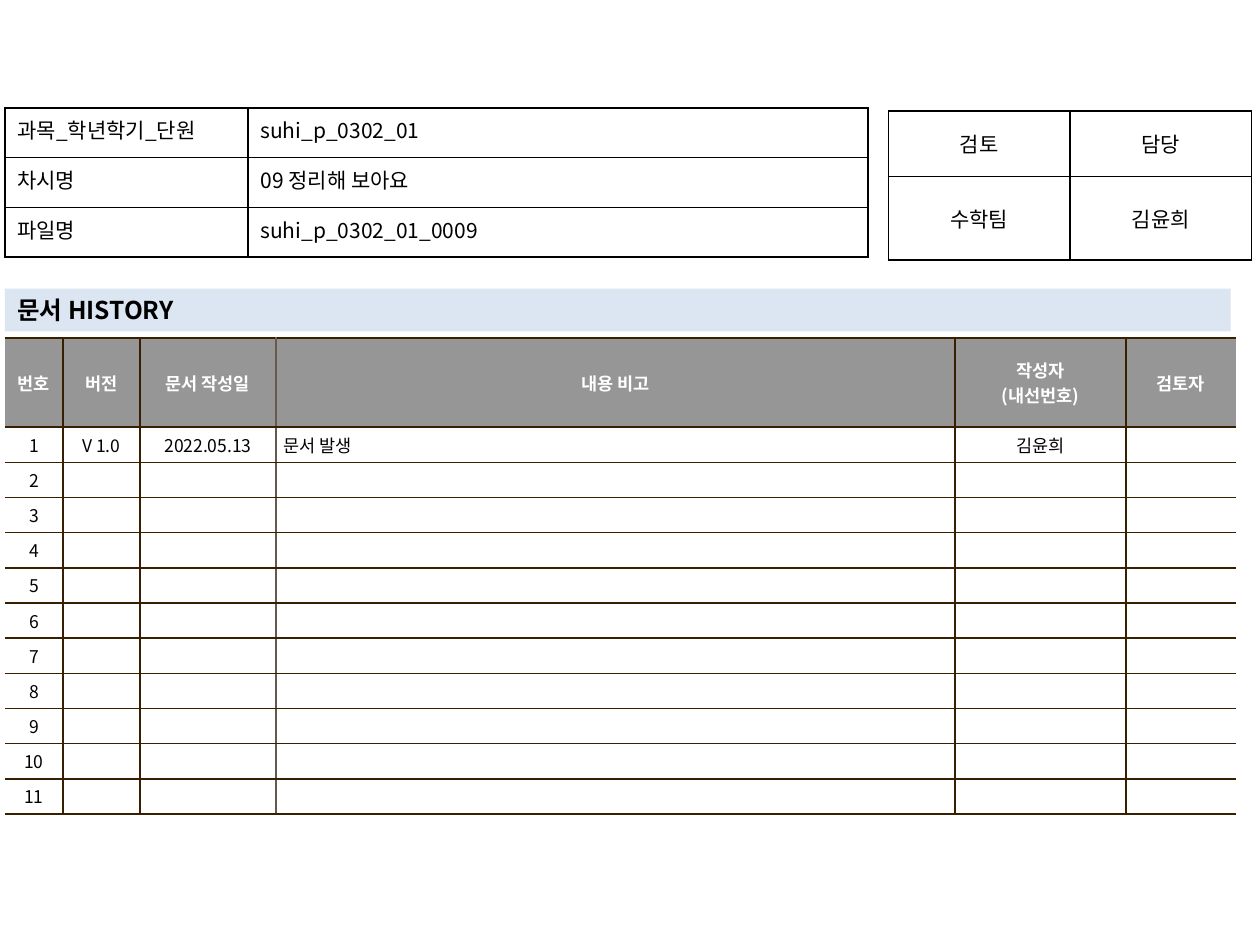
from dataclasses import dataclass
from typing import Optional

import pptx
import pptx.dml.color
import pptx.enum.shapes
import pptx.enum.text
import pptx.oxml
import pptx.oxml.ns
import pptx.util

Cm = pptx.util.Cm
ALIGN = pptx.enum.text.PP_ALIGN
ANCHOR = pptx.enum.text.MSO_ANCHOR


@dataclass(frozen=True)
class Theme:
    font: str = "Noto Sans CJK KR"
    ink: str = "000000"
    paper: str = "FFFFFF"
    header: str = "969696"
    band: str = "DCE6F2"
    rule: str = "362000"
    soft_rule: str = "645B4C"
    title_size: int = 14
    label_size: int = 12
    record_size: int = 10


THEME = Theme()


@dataclass(frozen=True)
class CellStyle:
    size: int
    align: Optional[ALIGN] = None
    anchor: Optional[ANCHOR] = None
    inset: tuple[float, float] = (0.25, 0.13)
    color: str = THEME.ink
    bold: bool = False
    fill: Optional[str] = None


@dataclass(frozen=True)
class Grid:
    left: float
    top: float
    columns: list[float]
    rows: list[float]


def rgb(value: str) -> pptx.dml.color.RGBColor:
    return pptx.dml.color.RGBColor.from_string(value)


def write(paragraph, text: str, size: int, color: str, bold: bool) -> None:
    run = paragraph.add_run()
    run.text = text
    font = run.font
    font.name, font.size, font.bold = THEME.font, pptx.util.Pt(size), bold
    font.color.rgb = rgb(color)
    east_asian = pptx.oxml.parse_xml(
        f'<a:ea {pptx.oxml.ns.nsdecls("a")} typeface="{THEME.font}"/>')
    font._element.append(east_asian)


def set_borders(cell, colors: dict[str, Optional[str]]) -> None:
    """Draw the cell's sides L, R, T, B; a side without a colour stays open."""
    properties = cell._tc.get_or_add_tcPr()
    for side in "LRTB":
        color = colors[side]
        paint = (f'<a:solidFill><a:srgbClr val="{color}"/></a:solidFill>'
                 if color else "<a:noFill/>")
        properties.append(pptx.oxml.parse_xml(
            f'<a:ln{side} {pptx.oxml.ns.nsdecls("a")} w="12700">{paint}</a:ln{side}>'))


def fill_cell(cell, text: str, style: CellStyle, borders: dict[str, Optional[str]]) -> None:
    set_borders(cell, borders)
    if style.fill:
        cell.fill.solid()
        cell.fill.fore_color.rgb = rgb(style.fill)
    else:
        cell.fill.background()
    cell.margin_left = cell.margin_right = Cm(style.inset[0])
    cell.margin_top = cell.margin_bottom = Cm(style.inset[1])
    cell.vertical_anchor = style.anchor
    frame = cell.text_frame
    for index, line in enumerate(text.split("\n")):
        paragraph = frame.add_paragraph() if index else frame.paragraphs[0]
        paragraph.alignment = style.align
        if line:
            write(paragraph, line, style.size, style.color, style.bold)
        else:
            # An empty cell needs its own type size so that its row stays low.
            paragraph._p.append(pptx.oxml.parse_xml(
                f'<a:endParaRPr {pptx.oxml.ns.nsdecls("a")} sz="{style.size * 100}"/>'))


def add_grid(slide, grid: Grid):
    table = slide.shapes.add_table(
        len(grid.rows), len(grid.columns), Cm(grid.left), Cm(grid.top),
        Cm(sum(grid.columns)), Cm(sum(grid.rows))).table
    table.first_row = table.horz_banding = False
    for column, width in zip(table.columns, grid.columns):
        column.width = Cm(width)
    for row, height in zip(table.rows, grid.rows):
        row.height = Cm(height)
    return table


def add_boxed_table(slide, grid: Grid, records: list[list[str]],
                    column_styles: list[CellStyle]) -> None:
    table = add_grid(slide, grid)
    for r, record in enumerate(records):
        for c, (text, style) in enumerate(zip(record, column_styles)):
            fill_cell(table.cell(r, c), text, style, dict.fromkeys("LRTB", THEME.ink))


def add_history(slide) -> None:
    revisions = 11
    records = [
        ["번호", "버전", "문서 작성일", "내용 비고", "작성자\n(내선번호)", "검토자"],
        ["1", "V 1.0", "2022.05.13", "문서 발생", "김윤희", ""],
        *([str(number)] + [""] * 5 for number in range(2, revisions + 1)),
    ]
    columns = [1.17, 1.55, 2.74, 13.69, 3.45, 2.21]
    remark = 3
    edges = [None, THEME.rule, THEME.rule, THEME.soft_rule, THEME.rule, THEME.rule, None]
    common = dict(size=THEME.record_size, anchor=ANCHOR.MIDDLE, inset=(0.15, 0.1))
    header = CellStyle(**common, align=ALIGN.CENTER, color=THEME.paper, bold=True,
                       fill=THEME.header)
    centered = CellStyle(**common, align=ALIGN.CENTER, fill=THEME.paper)
    leading = CellStyle(**common, align=ALIGN.LEFT, fill=THEME.paper)

    table = add_grid(slide, Grid(0.1, 6.81, columns, [1.8] + [0.63] * revisions))
    for r, record in enumerate(records):
        for c, text in enumerate(record):
            style = header if r == 0 else leading if c == remark else centered
            fill_cell(table.cell(r, c), text, style,
                      {"L": edges[c], "R": edges[c + 1], "T": THEME.rule, "B": THEME.rule})


def add_history_heading(slide) -> None:
    band = slide.shapes.add_shape(
        pptx.enum.shapes.MSO_SHAPE.RECTANGLE, Cm(0.1), Cm(5.82), Cm(24.71), Cm(0.86))
    band.shadow.inherit = False
    band.fill.solid()
    band.fill.fore_color.rgb = rgb(THEME.band)
    band.line.fill.background()
    frame = band.text_frame
    frame.word_wrap = True
    frame.auto_size = pptx.enum.text.MSO_AUTO_SIZE.SHAPE_TO_FIT_TEXT
    frame.vertical_anchor = ANCHOR.MIDDLE
    frame.margin_top = frame.margin_bottom = Cm(0.06)
    paragraph = frame.paragraphs[0]
    paragraph.alignment = ALIGN.LEFT
    write(paragraph, "문서 HISTORY", THEME.title_size, THEME.ink, True)


def main() -> None:
    deck = pptx.Presentation()
    deck.slide_width, deck.slide_height = Cm(25.4), Cm(19.05)
    slide = deck.slides.add_slide(deck.slide_layouts[6])

    add_history(slide)
    approval = CellStyle(THEME.label_size, ALIGN.CENTER, ANCHOR.MIDDLE)
    add_boxed_table(slide, Grid(17.91, 2.24, [3.66] * 2, [1.32, 1.68]),
                    [["검토", "담당"], ["수학팀", "김윤희"]], [approval] * 2)
    add_history_heading(slide)
    add_boxed_table(slide, Grid(0.1, 2.18, [4.9, 12.5], [1.0] * 3),
                    [["과목_학년학기_단원", "suhi_p_0302_01"],
                     ["차시명", "09 정리해 보아요"],
                     ["파일명", "suhi_p_0302_01_0009"]],
                    [CellStyle(THEME.label_size, ALIGN.JUSTIFY),
                     CellStyle(THEME.label_size, ALIGN.LEFT)])
    deck.save("out.pptx")


if __name__ == "__main__":
    main()
